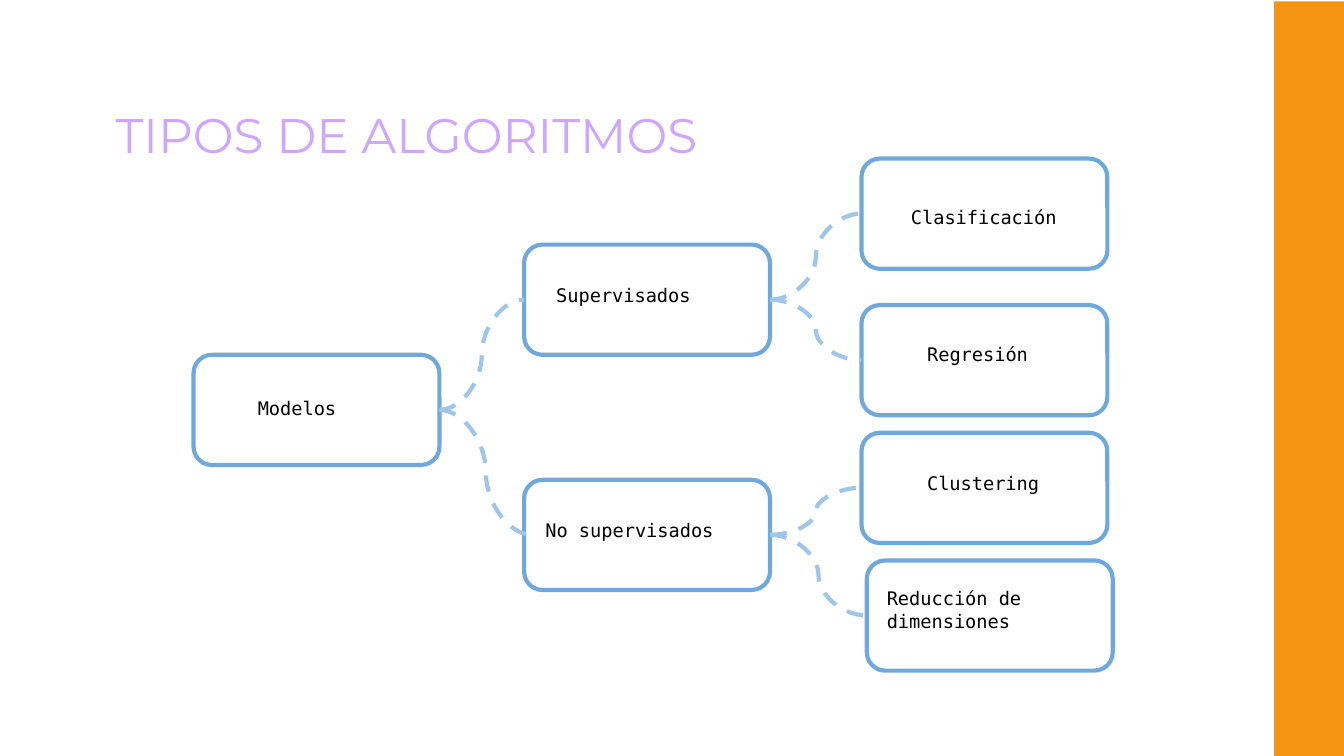
from pptx import Presentation
from pptx.dml.color import RGBColor
from pptx.enum import dml, shapes, text
from pptx.util import Inches, Pt

THEME = {
    "lilac": "CEA6FF", "orange": "F59410", "white": "FFFFFF", "black": "000000",
    "edge": "6FA8DC", "link": "9FC5E8",
    "head": "Montserrat", "mono": "DejaVu Sans Mono",
    "big": 26, "small": 10, "stroke": 2.25,
}
TITLE = ("TIPOS DE ALGORITMOS", (0.76, 0.68, 6.31, 0.58))
BAND = (9.48, 0.01, 0.56, 5.62)
WIDE, HIGH = 1.83, 0.82

# name: (left and top of the node, frame of its label)
NODES = {
    "Modelos": ((1.44, 2.64), (1.82, 2.85, 1.04, 0.29)),
    "Supervisados": ((3.9, 1.82), (4.04, 2.01, 1.55, 0.44)),
    "No supervisados": ((3.9, 3.57), (3.96, 3.76, 1.71, 0.44)),
    "Clasificación": ((6.41, 1.18), (6.68, 1.43, 1.34, 0.36)),
    "Regresión": ((6.41, 2.27), (6.8, 2.45, 1.22, 0.36)),
    "Clustering": ((6.41, 3.22), (6.8, 3.41, 1.27, 0.44)),
    "Reducción de dimensiones": ((6.45, 4.17), (6.5, 4.27, 2.05, 0.44)),
}
TREE = {
    "Modelos": ["Supervisados", "No supervisados"],
    "Supervisados": ["Clasificación", "Regresión"],
    "No supervisados": ["Clustering", "Reducción de dimensiones"],
}
INSET = {"No supervisados": 0.06}  # link runs on to the label's edge


def color(name):
    return RGBColor.from_string(THEME[name])


def inches(values):
    return [Inches(v) for v in values]


def write(shape, words, font="mono", size="small", ink="black"):
    frame = shape.text_frame
    frame.word_wrap = True
    frame.auto_size = text.MSO_AUTO_SIZE.NONE
    frame.vertical_anchor = text.MSO_ANCHOR.TOP
    frame.margin_left = frame.margin_right = Inches(0.1)
    frame.margin_top = frame.margin_bottom = Inches(0.1)
    para = frame.paragraphs[0]
    para.alignment = text.PP_ALIGN.LEFT
    run = para.add_run()
    run.text = words
    run.font.name = THEME[font]
    run.font.size = Pt(THEME[size])
    run.font.color.rgb = color(ink)


def block(slide, kind, frame, fill, edge=None):
    shape = slide.shapes.add_shape(kind, *inches(frame))
    shape.shadow.inherit = False
    shape.fill.solid()
    shape.fill.fore_color.rgb = color(fill)
    if edge:
        shape.line.color.rgb = color(edge)
        shape.line.width = Pt(THEME["stroke"])
    else:
        shape.line.fill.background()


def link(slide, start, end):
    """Draw a dashed curve from the right of one node to the left of another."""
    (x1, y1), (x2, y2) = NODES[start][0], NODES[end][0]
    ends = (x1 + WIDE, y1 + HIGH / 2, x2 + INSET.get(end, 0), y2 + HIGH / 2)
    curve = slide.shapes.add_connector(shapes.MSO_CONNECTOR.CURVE, *inches(ends))
    curve.line.color.rgb = color("link")
    curve.line.width = Pt(THEME["stroke"])
    curve.line.dash_style = dml.MSO_LINE.DASH
    props = curve._element.spPr
    props.append(props.makeelement(
        "{http://schemas.openxmlformats.org/drawingml/2006/main}effectLst", {}))


def main():
    deck = Presentation()
    deck.slide_width = Inches(10)
    deck.slide_height = Inches(10 * 9 / 16)
    slide = deck.slides.add_slide(deck.slide_layouts[5])

    words, frame = TITLE
    title = slide.shapes.title
    title.left, title.top, title.width, title.height = inches(frame)
    write(title, words, font="head", size="big", ink="lilac")
    block(slide, shapes.MSO_SHAPE.RECTANGLE, BAND, "orange")

    for name, (spot, frame) in NODES.items():
        block(slide, shapes.MSO_SHAPE.FLOWCHART_ALTERNATE_PROCESS,
              (*spot, WIDE, HIGH), "white", edge="edge")
        write(slide.shapes.add_textbox(*inches(frame)), name)
    for start, ends in TREE.items():
        for end in ends:
            link(slide, start, end)
    deck.save("out.pptx")


if __name__ == "__main__":
    main()
